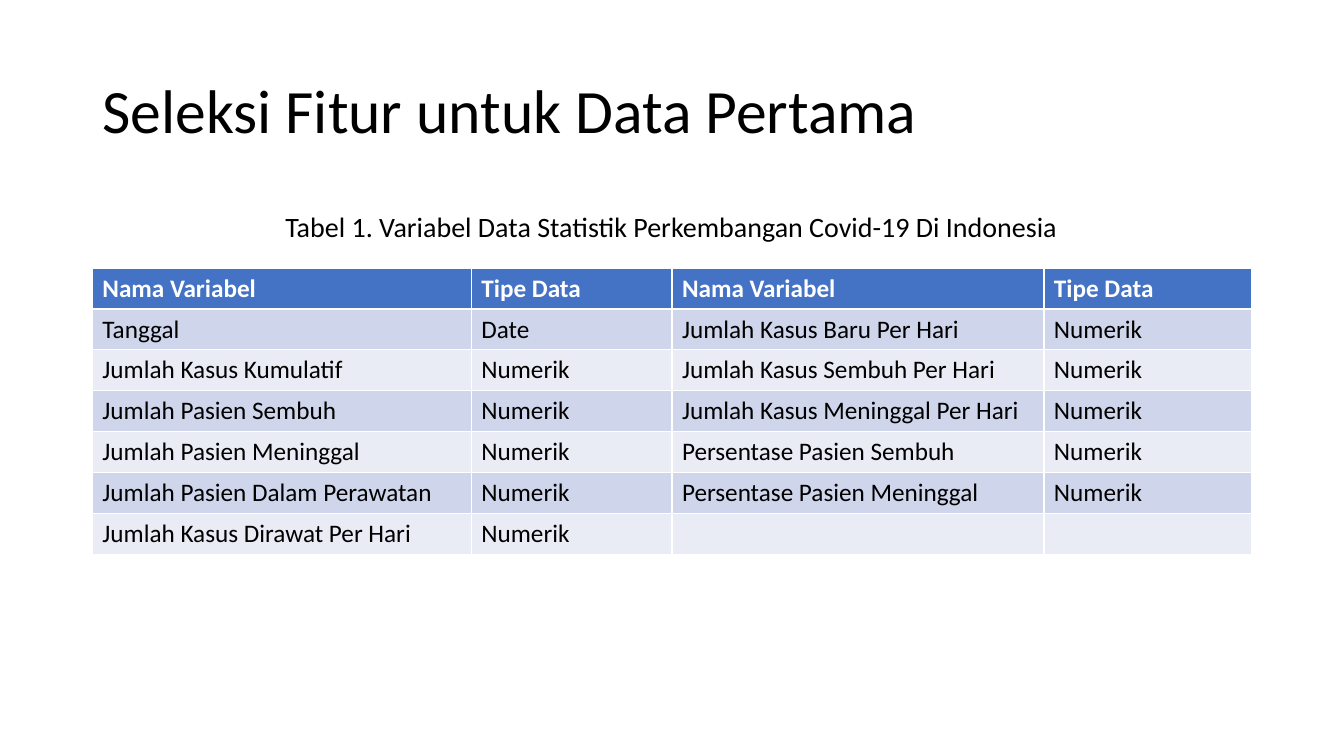
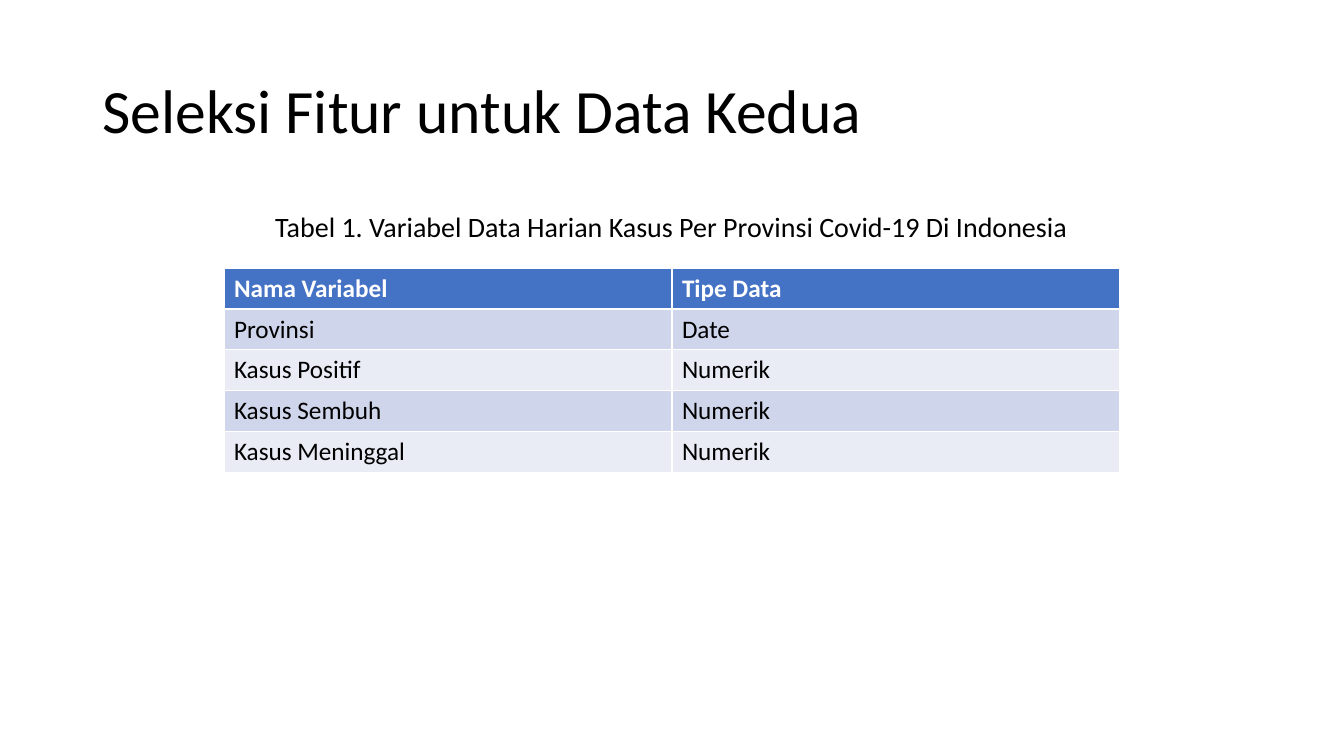
"""Build two slides listing the variables selected from two Covid-19 data sets."""
import pptx
import pptx.dml.color
import pptx.enum.text
import pptx.util

Pt = pptx.util.Pt
RGBColor = pptx.dml.color.RGBColor
PP_ALIGN = pptx.enum.text.PP_ALIGN

BLACK = RGBColor(0x00, 0x00, 0x00)
WHITE = RGBColor(0xFF, 0xFF, 0xFF)
HEADER = RGBColor(0x44, 0x72, 0xC4)
BANDS = [RGBColor(0xE9, 0xEB, 0xF5), RGBColor(0xCF, 0xD5, 0xEA)]
FONT = "Calibri"
SLIDE_WIDTH = 960
ROW_HEIGHT = 29.2

SLIDES = [
    {
        "title": "Seleksi Fitur untuk Data Pertama",
        "caption": "Tabel 1. Variabel Data Statistik Perkembangan Covid-19 Di Indonesia",
        "caption_width": 566.6,
        "columns": [270.7, 143.3, 265.7, 148.3],
        "rows": [
            ["Nama Variabel", "Tipe Data", "Nama Variabel", "Tipe Data"],
            ["Tanggal", "Date", "Jumlah Kasus Baru Per Hari", "Numerik"],
            ["Jumlah Kasus Kumulatif", "Numerik", "Jumlah Kasus Sembuh Per Hari", "Numerik"],
            ["Jumlah Pasien Sembuh", "Numerik", "Jumlah Kasus Meninggal Per Hari", "Numerik"],
            ["Jumlah Pasien Meninggal", "Numerik", "Persentase Pasien Sembuh", "Numerik"],
            ["Jumlah Pasien Dalam Perawatan", "Numerik", "Persentase Pasien Meninggal", "Numerik"],
            ["Jumlah Kasus Dirawat Per Hari", "Numerik", "", ""],
        ],
    },
    {
        "title": "Seleksi Fitur untuk Data Kedua",
        "caption": "Tabel 1. Variabel Data Harian Kasus Per Provinsi Covid-19 Di Indonesia",
        "caption_width": 581,
        "columns": [320, 320],
        "rows": [
            ["Nama Variabel", "Tipe Data"],
            ["Provinsi", "Date"],
            ["Kasus Positif", "Numerik"],
            ["Kasus Sembuh", "Numerik"],
            ["Kasus Meninggal", "Numerik"],
        ],
    },
]


def style(p, size, color, bold=False):
    p.font.name = FONT
    p.font.size = Pt(size)
    p.font.color.rgb = color
    p.font.bold = bold


prs = pptx.Presentation()
prs.slide_width = Pt(SLIDE_WIDTH)
prs.slide_height = Pt(540)

for content in SLIDES:
    s = prs.slides.add_slide(prs.slide_layouts[5])

    title = s.shapes.title
    title.left, title.top, title.width, title.height = Pt(66), Pt(28.75), Pt(828), Pt(104.4)
    tf = title.text_frame
    tf.text = content["title"]
    tf.vertical_anchor = pptx.enum.text.MSO_ANCHOR.MIDDLE
    p = tf.paragraphs[0]
    p.alignment = PP_ALIGN.LEFT
    p.line_spacing = 0.9
    style(p, 44, BLACK)

    width = content["caption_width"]
    caption = s.shapes.add_textbox(Pt((SLIDE_WIDTH - width) / 2), Pt(146.2), Pt(width), Pt(31.5))
    tf = caption.text_frame
    tf.text = content["caption"]
    tf.word_wrap = False
    tf.auto_size = pptx.enum.text.MSO_AUTO_SIZE.SHAPE_TO_FIT_TEXT
    style(tf.paragraphs[0], 20, BLACK)

    columns, rows = content["columns"], content["rows"]
    width = sum(columns)
    table = s.shapes.add_table(
        len(rows), len(columns), Pt((SLIDE_WIDTH - width) / 2), Pt(191.5),
        Pt(width), Pt(ROW_HEIGHT * len(rows))).table
    for column, column_width in zip(table.columns, columns):
        column.width = Pt(column_width)
    for i, row in enumerate(rows):
        table.rows[i].height = Pt(ROW_HEIGHT)
        for j, text in enumerate(row):
            cell = table.cell(i, j)
            cell.text = text
            cell.fill.solid()
            cell.fill.fore_color.rgb = BANDS[i % 2] if i else HEADER
            style(cell.text_frame.paragraphs[0], 18, BLACK if i else WHITE, bold=i == 0)

prs.save("out.pptx")
